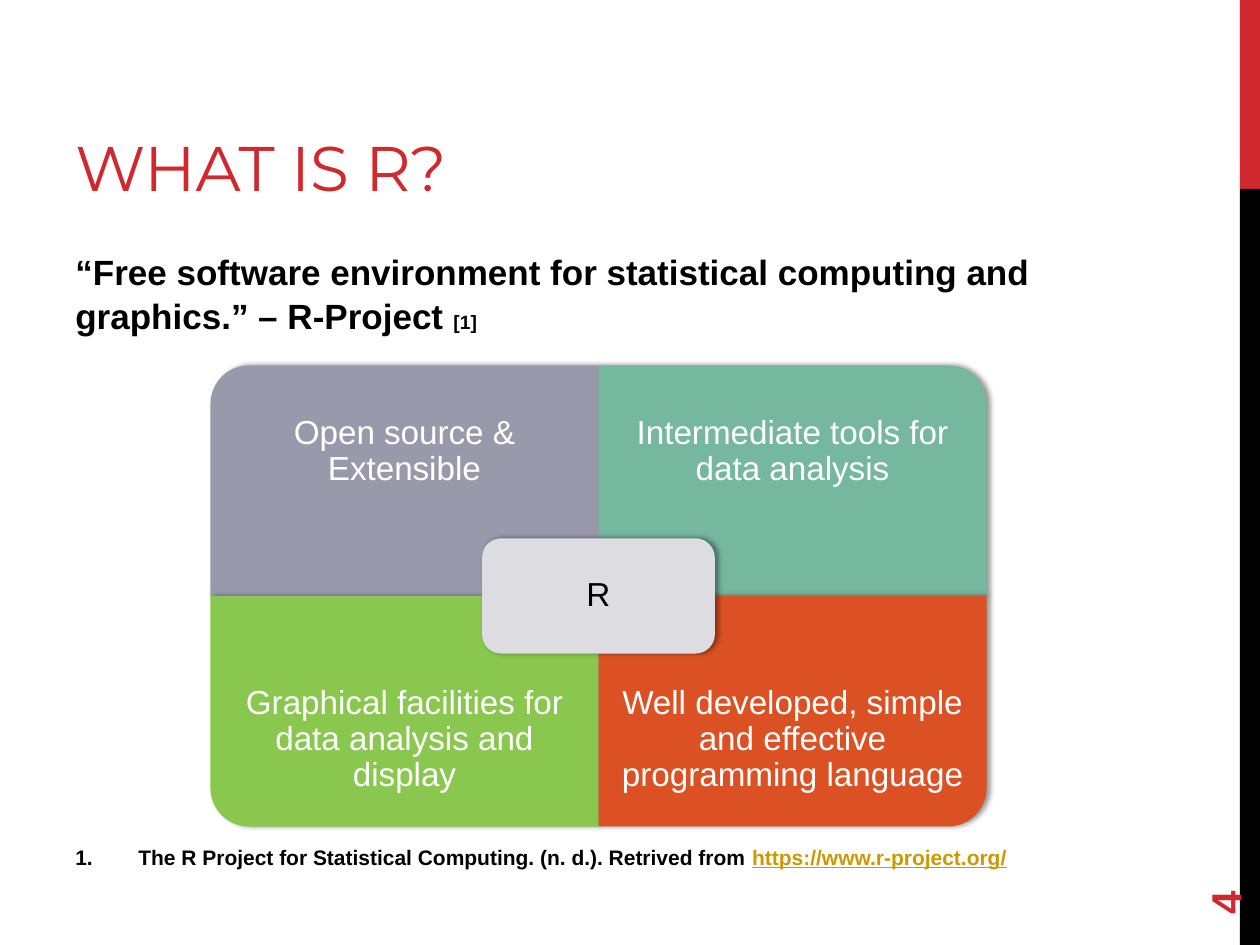
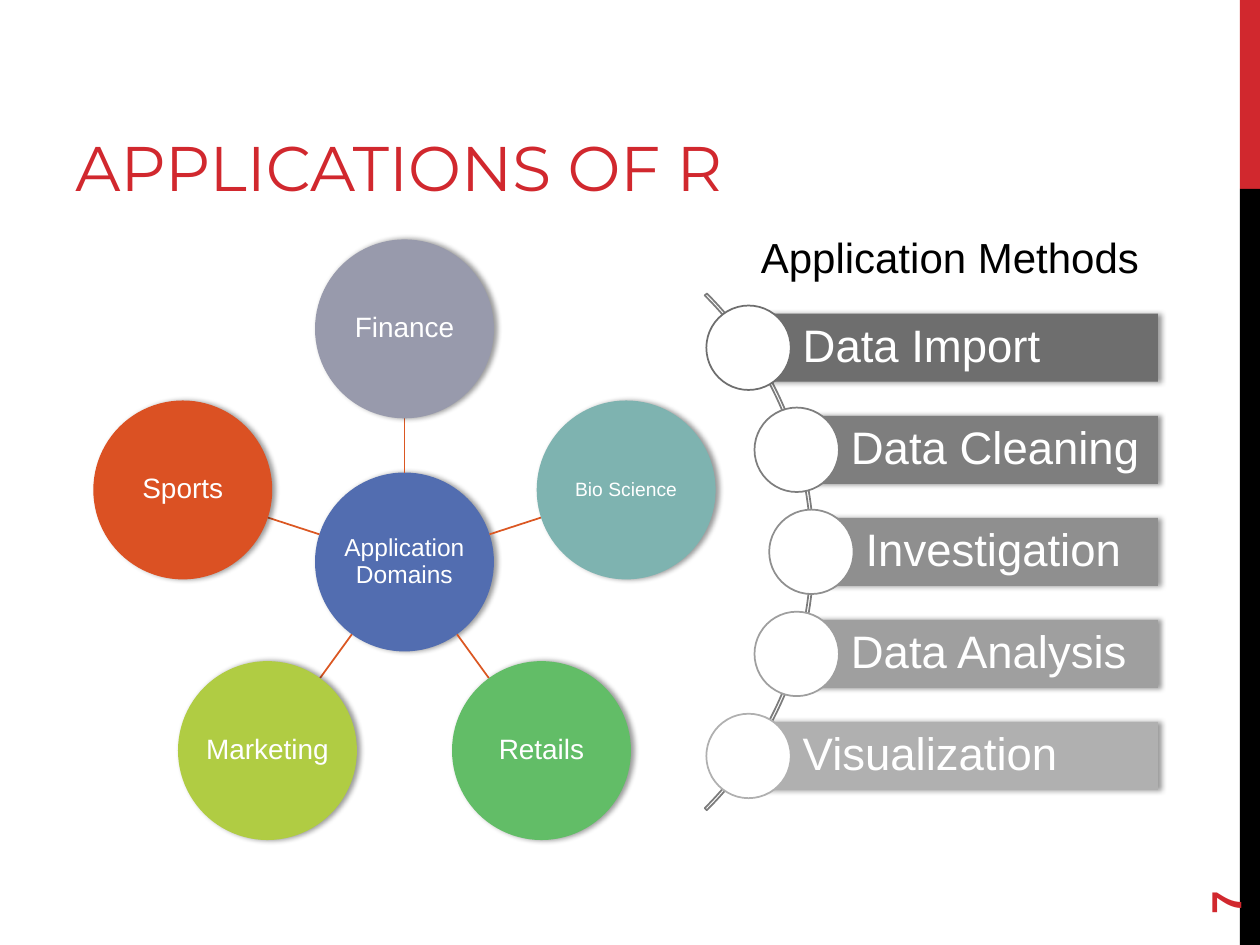
import math
from dataclasses import dataclass

from lxml import etree
from pptx import Presentation
from pptx import util as u
from pptx.dml.color import RGBColor
from pptx.enum import shapes, text
from pptx.oxml import ns

PX = 9144
SHAPE = shapes.MSO_SHAPE
ANCHOR = text.MSO_ANCHOR
ALIGN = text.PP_ALIGN


@dataclass(frozen=True)
class Theme:
    """Colours, fonts and type sizes shared by the slides."""
    red: str = "D1282E"
    black: str = "000000"
    white: str = "FFFFFF"
    link: str = "CC9900"
    slate: str = "989AAC"
    mint: str = "75B79F"
    lime: str = "8AC74E"
    orange: str = "DB5123"
    pale: str = "DDDDE1"
    blue: str = "526DB0"
    teal: str = "7EB3B0"
    green: str = "62BD67"
    olive: str = "B0CC43"
    spoke: str = "DB5722"
    arc: str = "7C7C7C"
    greys: tuple = ("6E6E6E", "7E7E7E", "8F8F8F", "9F9F9F", "B0B0B0")
    heading_font: str = "Montserrat"
    body_font: str = "Arial"
    title: int = 36
    method: int = 26
    heading: int = 24
    quote: int = 20
    quadrant: int = 19
    domain: int = 16
    hub: int = 14
    source: int = 12
    small: int = 11


THEME = Theme()


def px(*lengths):
    """Turn px lengths into EMU."""
    return [u.Emu(round(length * PX)) for length in lengths]


def style_run(run, size, color, bold=False, font=THEME.body_font):
    """Format one run."""
    run.font.size = u.Pt(size)
    run.font.name = font
    run.font.bold = bold
    run.font.color.rgb = RGBColor.from_string(color)


def write(shape, words, size, color, align=ALIGN.LEFT, anchor=ANCHOR.MIDDLE,
          insets=(10, 5, 10, 5), spacing=None, **run_style):
    """Put one wrapped paragraph in a shape and return the paragraph."""
    frame = shape.text_frame
    frame.text = words
    frame.word_wrap = True
    frame.vertical_anchor = anchor
    (frame.margin_left, frame.margin_top,
     frame.margin_right, frame.margin_bottom) = px(*insets)
    paragraph = frame.paragraphs[0]
    paragraph.alignment = align
    if spacing:
        paragraph.line_spacing = spacing
    style_run(paragraph.runs[0], size, color, **run_style)
    return paragraph


def add_text(slide, box, words, size, color, **layout):
    """Add a text box and return its paragraph."""
    return write(slide.shapes.add_textbox(*px(*box)), words, size, color, **layout)


def add_run(paragraph, words, size, color, **run_style):
    """Append a formatted run to a paragraph."""
    run = paragraph.add_run()
    run.text = words
    style_run(run, size, color, **run_style)
    return run


def add_block(slide, kind, box, fill=None, line=None, shadow=False):
    """Add a preset shape with flat fill, optional outline and soft shadow."""
    block = slide.shapes.add_shape(kind, *px(*box))
    block.shadow.inherit = False
    if fill:
        block.fill.solid()
        block.fill.fore_color.rgb = RGBColor.from_string(fill)
    else:
        block.fill.background()
    if line:
        block.line.color.rgb = RGBColor.from_string(line)
        block.line.width = u.Pt(1)
    else:
        block.line.fill.background()
    if shadow:
        effects = block._element.spPr.find(ns.qn("a:effectLst"))
        outer = etree.SubElement(effects, ns.qn("a:outerShdw"), blurRad=str(u.Pt(3.1)),
                                 dist=str(u.Pt(1.8)), dir="0", rotWithShape="0")
        tint = etree.SubElement(outer, ns.qn("a:srgbClr"), val=THEME.black)
        etree.SubElement(tint, ns.qn("a:alpha"), val="40000")
    return block


def add_spoke(slide, start, end):
    """Draw a thin straight line between two points."""
    spoke = slide.shapes.add_connector(shapes.MSO_CONNECTOR.STRAIGHT, *px(*start, *end))
    spoke.line.color.rgb = RGBColor.from_string(THEME.spoke)
    spoke.line.width = u.Pt(1)
    etree.SubElement(spoke._element.spPr, ns.qn("a:effectLst"))


def add_base(deck, title, number):
    """Add a slide with side band, title and turned slide number."""
    slide = deck.slides.add_slide(deck.slide_layouts[6])
    add_block(slide, SHAPE.RECTANGLE, (984, 0, 16, 150), THEME.red)
    add_block(slide, SHAPE.RECTANGLE, (984, 150, 16, 600), THEME.black)
    add_text(slide, (50, 17, 633, 150), title, THEME.title, THEME.red,
             anchor=ANCHOR.BOTTOM, font=THEME.heading_font)
    page = slide.shapes.add_textbox(*px(900, 644, 144, 40))
    page.rotation = 270
    write(page, number, THEME.heading, THEME.red, bold=True)
    return slide


def add_quote(slide, box):
    """Add the definition with its small reference mark."""
    quote = add_text(slide, box, "“Free software environment for statistical computing and "
                     "graphics.” – R-Project ", THEME.quote, THEME.black,
                     anchor=ANCHOR.TOP, spacing=1.05, bold=True)
    add_run(quote, "[1]", THEME.small, THEME.black, bold=True)


def add_source(slide, box):
    """Add the numbered reference with its web address."""
    source = add_text(slide, box, "The R Project for Statistical Computing. (n. d.). "
                      "Retrived from ", THEME.source, THEME.black,
                      anchor=ANCHOR.TOP, bold=True)
    address = add_run(source, "https://www.r-project.org/", THEME.source, THEME.link, bold=True)
    address.font.underline = True
    properties = source._p.get_or_add_pPr()
    indent = px(50)[0]
    properties.set("marL", str(indent))
    properties.set("indent", str(-indent))
    etree.SubElement(properties, ns.qn("a:buFont"), typeface="+mj-lt")
    etree.SubElement(properties, ns.qn("a:buAutoNum"), type="arabicPeriod")


def add_matrix(slide, box, center, features):
    """Fill a box with four quadrants around a central label."""
    left, top, width, height = box
    half_w, half_h = width / 2, height / 2
    label_h = half_h * 0.75
    for index, (words, fill, turn) in enumerate(features):
        row, column = divmod(index, 2)
        x, y = left + column * half_w, top + row * half_h
        w, h = (half_h, half_w) if turn % 180 else (half_w, half_h)
        quadrant = add_block(slide, SHAPE.ROUND_1_RECTANGLE,
                             (x + (half_w - w) / 2, y + (half_h - h) / 2, w, h),
                             fill, shadow=True)
        quadrant.rotation = turn
        add_text(slide, (x, y + row * (half_h - label_h), half_w, label_h), words,
                 THEME.quadrant, THEME.white, align=ALIGN.CENTER,
                 insets=(15,) * 4, spacing=0.9)
    w, h = half_w * 0.6, half_h / 2
    core = add_block(slide, SHAPE.ROUNDED_RECTANGLE,
                     (left + half_w - w / 2, top + half_h - h / 2, w, h),
                     THEME.pale, shadow=True)
    write(core, center, THEME.quadrant, THEME.black, align=ALIGN.CENTER, spacing=0.9)


def add_domains(slide, box, hub, domains):
    """Arrange domain circles evenly around a hub inside a box."""
    left, top, width, _ = box
    size, orbit = 142, 185
    radius = size / 2
    center_x, center_y = left + width / 2, top + radius + orbit

    def at(distance, angle):
        """Return the point at a distance and angle from the hub."""
        return (center_x + distance * math.cos(angle), center_y + distance * math.sin(angle))

    def circle(middle, words, fill, type_size):
        """Draw one labelled circle."""
        x, y = middle
        disc = add_block(slide, SHAPE.OVAL, (x - radius, y - radius, size, size),
                         fill, shadow=True)
        write(disc, words, type_size, THEME.white, align=ALIGN.CENTER,
              insets=(0,) * 4, spacing=0.9)

    circle((center_x, center_y), hub, THEME.blue, THEME.hub)
    for index, (words, fill, type_size) in enumerate(domains):
        angle = math.tau * index / len(domains) - math.pi / 2
        add_spoke(slide, at(radius, angle), at(orbit - radius, angle))
        circle(at(orbit, angle), words, fill, type_size)


def add_methods(slide, box, methods):
    """Hang method bars on an arc that bulges into the box."""
    left, top, width, height = box
    radius, step, bar_h, dot = 290, 81, 54, 67
    center_x, center_y = left - 204, top + height / 2
    arc = add_block(slide, SHAPE.BLOCK_ARC,
                    (center_x - radius, center_y - radius, 2 * radius, 2 * radius),
                    line=THEME.arc)
    for index, value in enumerate((189, 27, 0.004)):
        arc.adjustments[index] = value
    for index, (words, grey) in enumerate(zip(methods, THEME.greys)):
        offset = (index - (len(methods) - 1) / 2) * step
        x, y = center_x + math.sqrt((radius - 2) ** 2 - offset ** 2), center_y + offset
        bar = add_block(slide, SHAPE.RECTANGLE,
                        (x, y - bar_h / 2, left + width - x, bar_h), grey, shadow=True)
        write(bar, words, THEME.method, THEME.white, insets=(43, 7, 7, 7), spacing=0.9)
        add_block(slide, SHAPE.OVAL, (x - dot / 2, y - dot / 2, dot, dot), THEME.white, grey)


def build_definition(deck):
    """Build the slide that says what R is."""
    slide = add_base(deck, "WHAT IS R?", "4")
    add_quote(slide, (50, 192, 833, 80))
    add_matrix(slide, (167, 290, 616, 366), "R", (
        ("Open source & Extensible", THEME.slate, 270),
        ("Intermediate tools for data analysis", THEME.mint, 0),
        ("Graphical facilities for data analysis and display", THEME.lime, 180),
        ("Well developed, simple and effective programming language", THEME.orange, 90),
    ))
    add_source(slide, (50, 665, 833, 30))


def build_applications(deck):
    """Build the slide on domains and methods."""
    slide = add_base(deck, "APPLICATIONS OF R", "7")
    add_domains(slide, (75, 190, 492, 476), "Application Domains", (
        ("Finance", THEME.slate, THEME.domain),
        ("Bio Science", THEME.teal, THEME.small),
        ("Retails", THEME.green, THEME.domain),
        ("Marketing", THEME.olive, THEME.domain),
        ("Sports", THEME.orange, THEME.domain),
    ))
    add_methods(slide, (560, 233, 359, 410), (
        "Data Import", "Data Cleaning", "Investigation", "Data Analysis", "Visualization"))
    add_text(slide, (594, 179, 353, 50), "Application Methods", THEME.heading, THEME.black,
             anchor=ANCHOR.TOP)


def main():
    """Build and save the presentation."""
    deck = Presentation()
    deck.slide_width, deck.slide_height = px(1000, 750)
    build_definition(deck)
    build_applications(deck)
    deck.save("out.pptx")


if __name__ == "__main__":
    main()
